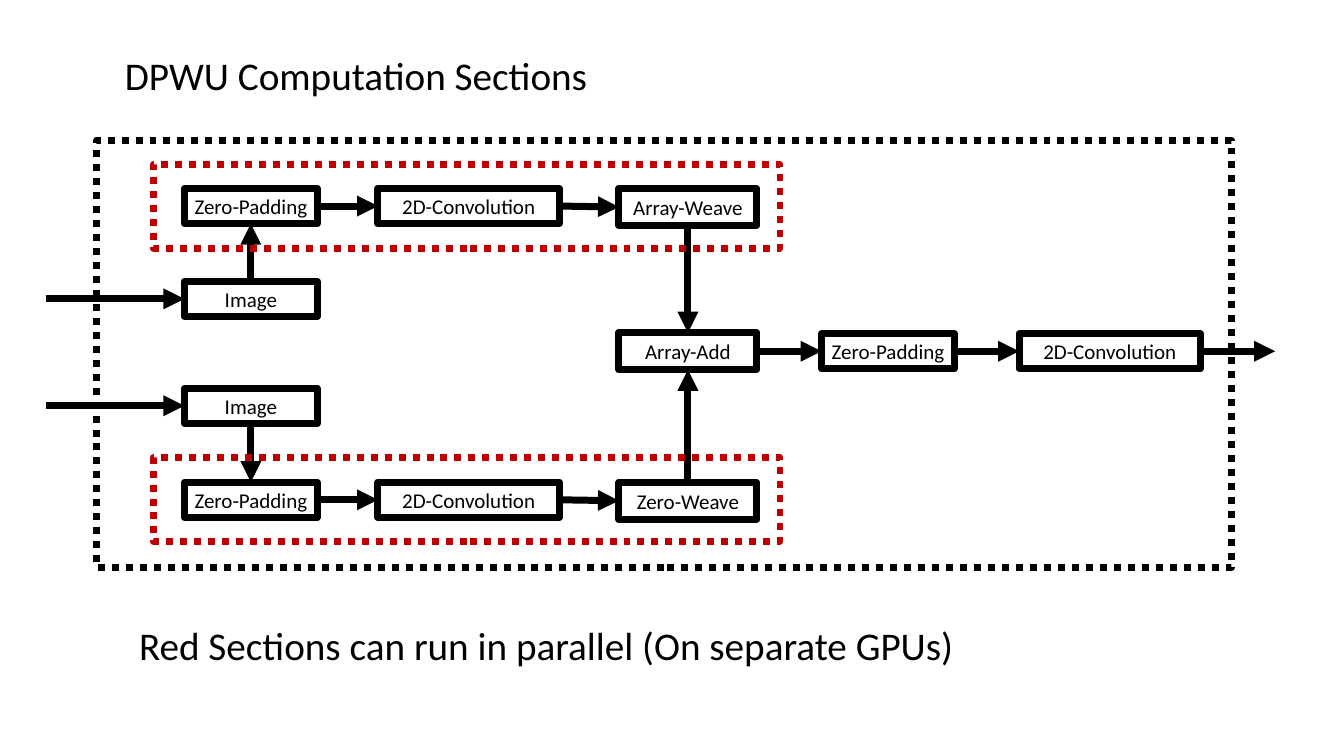
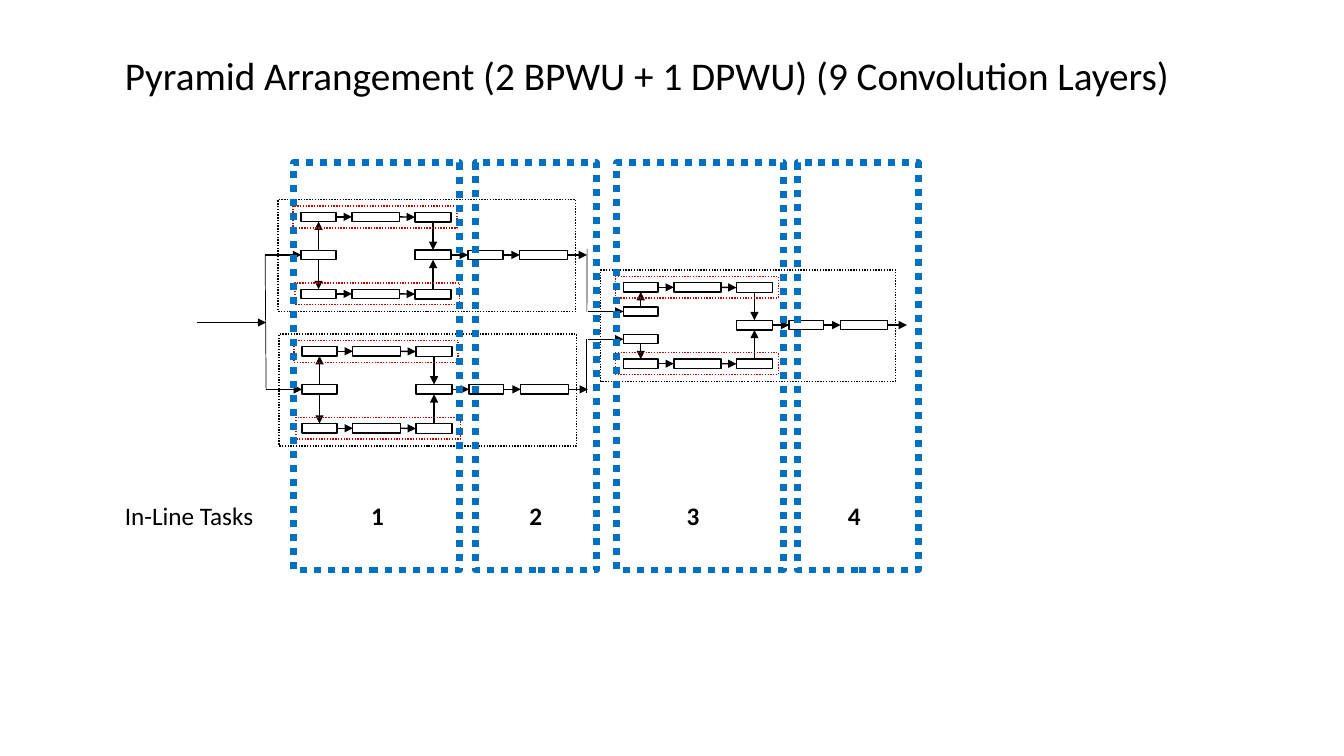
"""Build two slides on the computation sections and pyramid arrangement of weave units."""
from dataclasses import dataclass
from typing import NamedTuple, Optional

from lxml import etree
from pptx import Presentation
from pptx.dml.color import RGBColor
from pptx.enum import dml, shapes, text
from pptx.oxml.ns import qn
from pptx.util import Pt


@dataclass(frozen=True)
class Theme:
    font: str = "Calibri"
    ink: str = "000000"
    parallel: str = "C00000"
    task: str = "0070C0"
    heading: float = 28
    note: float = 18
    stage: float = 15
    heavy: float = 5
    fine: float = 1
    hair: float = 0.5


class Point(NamedTuple):
    x: float
    y: float


class Box(NamedTuple):
    left: float
    top: float
    width: float
    height: float


class Stage(NamedTuple):
    key: str
    label: str
    left: float
    width: float
    middle: float
    height: float = 25.2


class Flow(NamedTuple):
    source: str
    exit: int
    target: str
    entry: int


class Wire(NamedTuple):
    start: Point
    end: Point
    arrow: bool = False


class Task(NamedTuple):
    left: float
    width: float
    label_left: float


@dataclass(frozen=True)
class Unit:
    left: float
    top: float
    scale: float
    weight: float
    paired: bool
    labelled: bool = False
    lower_shift: float = 0

    def point(self, x: float, y: float) -> Point:
        return Point(self.left + x * self.scale, self.top + y * self.scale)

    def box(self, left: float, top: float, width: float, height: float) -> Box:
        return Box(*self.point(left, top), width * self.scale, height * self.scale)


THEME = Theme()
TOP, LEFT, BOTTOM, RIGHT = range(4)
UPPER, MIDDLE, LOWER = 47.1, 150.8, 256.9
UPPER_IMAGE, LOWER_IMAGE = 113.4, 189.7
PAD, CONV, WEAVE = (62.6, 95), (200.9, 129.6), (373, 98.6)
ENTRY_X, EXIT_X = -36, 841.7
FRAME = (0, 0, 810.7, 305.3)
UPPER_SECTION = (40.3, 17.3)
LOWER_SECTION = (40.3, 226.8)
SECTION_SIZE = (447.8, 59.8)

STAGES = [
    Stage("upper pad", "Zero-Padding", *PAD, UPPER),
    Stage("upper conv", "2D-Convolution", *CONV, UPPER),
    Stage("upper weave", "Array-Weave", *WEAVE, UPPER + 0.7, 26.6),
    Stage("lower pad", "Zero-Padding", *PAD, LOWER),
    Stage("lower conv", "2D-Convolution", *CONV, LOWER),
    Stage("lower weave", "Zero-Weave", *WEAVE, LOWER + 0.7, 26.6),
    Stage("add", "Array-Add", *WEAVE, MIDDLE, 26.6),
    Stage("final pad", "Zero-Padding", 517.7, 95, MIDDLE),
    Stage("final conv", "2D-Convolution", 658.8, 129.6, MIDDLE),
]
FLOWS = [
    *(Flow(f"{row} {a}", RIGHT, f"{row} {b}", LEFT)
      for row in ("upper", "lower") for a, b in (("pad", "conv"), ("conv", "weave"))),
    Flow("upper weave", BOTTOM, "add", TOP),
    Flow("lower weave", TOP, "add", BOTTOM),
    Flow("add", RIGHT, "final pad", LEFT),
    Flow("final pad", RIGHT, "final conv", LEFT),
]
SECTIONS_UNIT = Unit(69.1, 100.1, 1, THEME.heavy, True, labelled=True)
PYRAMID_UNITS = [
    Unit(429.1, 193, 0.26, THEME.fine, True),
    Unit(198.7, 142.6, 0.262, THEME.fine, False, lower_shift=6),
    Unit(199.4, 238.6, 0.262, THEME.fine, False, lower_shift=6),
]
WIRES = [
    Wire(Point(189.4, 182.2), Point(190.1, 278.6)),
    Wire(Point(140.4, 230.4), Point(190.1, 230.4), True),
    Wire(Point(419.4, 177.8), Point(419.2, 222.5)),
    Wire(Point(419.2, 280.8), Point(419.2, 241.9)),
]
TASKS = [
    Task(209.5, 118.8, 252.7),
    Task(339.8, 86.4, 365.8),
    Task(440.6, 118.8, 478.1),
    Task(569.5, 86.4, 593.3),
]


def write(frame, words: str, *, size: float, bold: bool = False,
          centred: bool = False, middle: bool = False, wrap: bool = True) -> None:
    frame.word_wrap = wrap
    frame.vertical_anchor = text.MSO_ANCHOR.MIDDLE if middle else text.MSO_ANCHOR.TOP
    paragraph = frame.paragraphs[0]
    paragraph.alignment = text.PP_ALIGN.CENTER if centred else text.PP_ALIGN.LEFT
    run = paragraph.add_run()
    run.text = words
    run.font.name, run.font.size, run.font.bold = THEME.font, Pt(size), bold
    run.font.color.rgb = RGBColor.from_string(THEME.ink)


def add_words(canvas, box: Box, words: str, **style) -> None:
    write(canvas.add_textbox(*map(Pt, box)).text_frame, words, **style)


def add_outline(canvas, box: Box, weight: float, colour: str = THEME.ink, dotted: bool = False):
    outline = canvas.add_shape(shapes.MSO_SHAPE.RECTANGLE, *map(Pt, box))
    outline.shadow.inherit = False
    outline.fill.background()
    outline.line.color.rgb = RGBColor.from_string(colour)
    outline.line.width = Pt(weight)
    if dotted:
        outline.line.dash_style = dml.MSO_LINE.ROUND_DOT
    return outline


def add_line(canvas, start: Point, end: Point, weight: float, arrow: bool = True):
    line = canvas.add_connector(shapes.MSO_CONNECTOR.STRAIGHT, *map(Pt, (*start, *end)))
    line.line.color.rgb = RGBColor.from_string(THEME.ink)
    line.line.width = Pt(weight)
    properties = line.element.spPr
    if arrow:
        etree.SubElement(properties.get_or_add_ln(), qn("a:tailEnd"), type="triangle")
    etree.SubElement(properties, qn("a:effectLst"))
    return line


def side_point(shape, side: int) -> Point:
    across = {LEFT: 0, RIGHT: 1}.get(side, 0.5)
    down = {TOP: 0, BOTTOM: 1}.get(side, 0.5)
    left, top, width, height = (v.pt for v in (shape.left, shape.top, shape.width, shape.height))
    return Point(left + across * width, top + down * height)


def join(canvas, source, exit_side: int, target, entry_side: int, weight: float) -> None:
    line = add_line(canvas, side_point(source, exit_side), side_point(target, entry_side), weight)
    line.begin_connect(source, exit_side)
    line.end_connect(target, entry_side)


def add_unit(canvas, unit: Unit) -> None:
    image_rows = (UPPER_IMAGE, LOWER_IMAGE) if unit.paired else (MIDDLE,)
    images = [Stage(f"image {i}", "Image", *PAD, row) for i, row in enumerate(image_rows)]
    boxes = {}
    for stage in STAGES + images:
        top = stage.middle - stage.height / 2
        box = unit.box(stage.left, top, stage.width, stage.height)
        boxes[stage.key] = add_outline(canvas, box, unit.weight)
        if unit.labelled:
            write(boxes[stage.key].text_frame, stage.label, size=THEME.stage,
                  centred=True, middle=True, wrap=False)
    image_flows = [Flow(images[0].key, TOP, "upper pad", BOTTOM),
                   Flow(images[-1].key, BOTTOM, "lower pad", TOP)]
    for flow in FLOWS + image_flows:
        join(canvas, boxes[flow.source], flow.exit, boxes[flow.target], flow.entry, unit.weight)
    for image in images:
        entry = add_line(canvas, unit.point(ENTRY_X, image.middle),
                         side_point(boxes[image.key], LEFT), unit.weight)
        entry.end_connect(boxes[image.key], LEFT)
    result = add_line(canvas, side_point(boxes["final conv"], RIGHT),
                      unit.point(EXIT_X, MIDDLE), unit.weight)
    result.begin_connect(boxes["final conv"], RIGHT)
    add_outline(canvas, unit.box(*FRAME), unit.weight, dotted=True)
    for (left, top), shift in ((UPPER_SECTION, 0), (LOWER_SECTION, unit.lower_shift)):
        add_outline(canvas, unit.box(left + shift, top, *SECTION_SIZE), unit.weight,
                    THEME.parallel, dotted=True)


def add_titled_slide(deck, title: str, note: Optional[str] = None):
    canvas = deck.slides.add_slide(deck.slide_layouts[6]).shapes
    add_words(canvas, Box(82.1, 33.1, 783.4, 41), title, size=THEME.heading)
    if note:
        add_words(canvas, Box(92.2, 440.6, 612.7, 41), note, size=THEME.heading)
    return canvas


def build_sections(deck) -> None:
    canvas = add_titled_slide(deck, "DPWU Computation Sections",
                              "Red Sections can run in parallel (On separate GPUs)")
    add_unit(canvas, SECTIONS_UNIT)


def build_pyramid(deck) -> None:
    canvas = add_titled_slide(
        deck, "Pyramid Arrangement (2 BPWU + 1 DPWU) (9 Convolution Layers)")
    for unit in PYRAMID_UNITS:
        add_unit(canvas.add_group_shape().shapes, unit)
    for wire in WIRES:
        add_line(canvas, wire.start, wire.end, THEME.hair, wire.arrow)
    label_top, label_height = 353.5, 28.8
    add_words(canvas, Box(82.1, label_top, 107.3, label_height), "In-Line Tasks",
              size=THEME.note, wrap=False)
    for number, task in enumerate(TASKS, 1):
        add_outline(canvas, Box(task.left, 116.3, task.width, 290.9), THEME.heavy,
                    THEME.task, dotted=True)
        add_words(canvas, Box(task.label_left, label_top, 33.8, label_height), str(number),
                  size=THEME.note, bold=True, centred=True)


def main() -> None:
    deck = Presentation()
    deck.slide_width, deck.slide_height = Pt(960), Pt(540)
    build_sections(deck)
    build_pyramid(deck)
    deck.save("out.pptx")


main()
